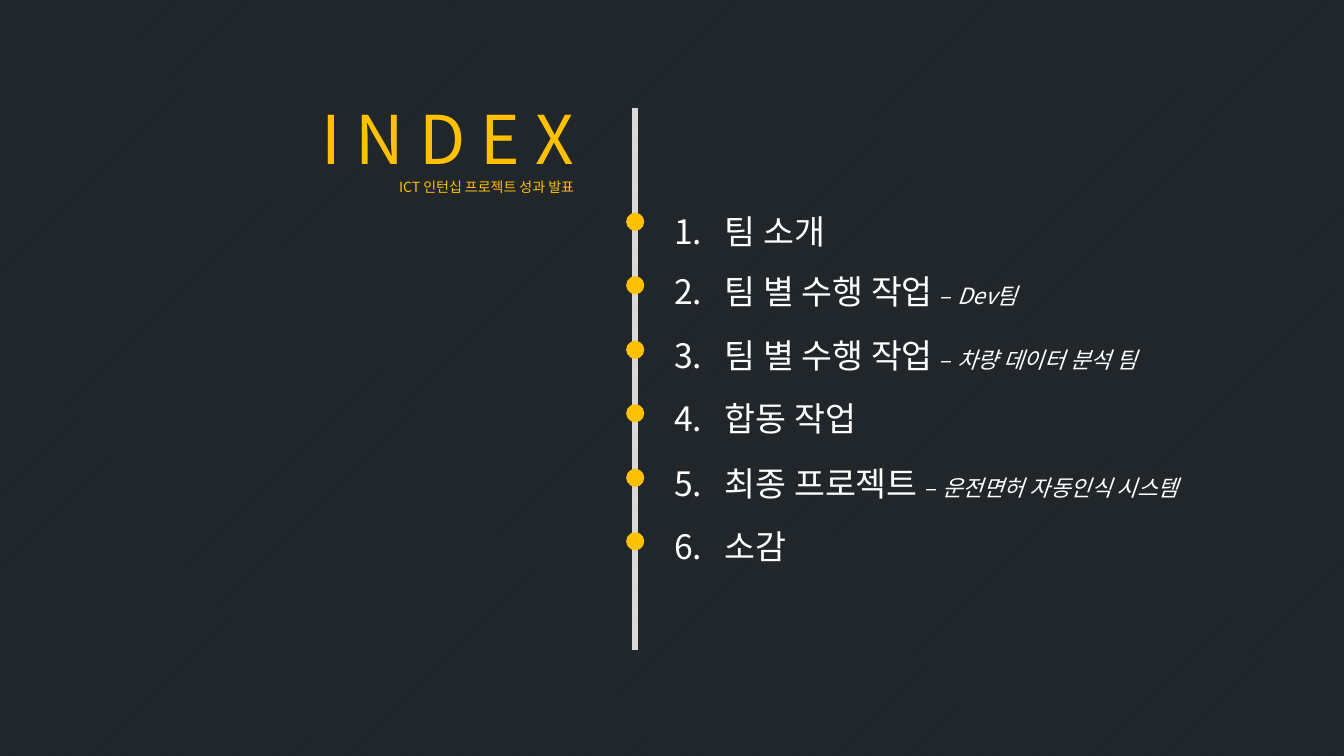
"""Build the index slide: a title, a timeline and six numbered entries."""
from dataclasses import dataclass

from lxml import etree
from pptx import Presentation
from pptx import util as u
from pptx.dml.color import RGBColor
from pptx.enum import dml, shapes, text
from pptx.oxml.ns import qn

PX = 9144


@dataclass(frozen=True)
class Theme:
    """Colours, font and type sizes."""
    back: str = "21262A"
    dots: str = "282F34"
    accent: str = "FFC000"
    rail: str = "D9D9D9"
    ink: str = "FFFFFF"
    font: str = "Noto Sans CJK KR"
    title: int = 48
    subtitle: int = 10
    entry: int = 24
    detail: int = 16


T = Theme()

ENTRIES = [
    (184, "팀 소개", ""),
    (244, "팀 별 수행 작업", "Dev팀"),
    (307, "팀 별 수행 작업", "차량 데이터 분석 팀"),
    (370, "합동 작업", ""),
    (434, "최종 프로젝트", "운전면허 자동인식 시스템"),
    (497, "소감", ""),
]


def px(n):
    """Turn px into EMU."""
    return u.Emu(n * PX)


def rgb(value):
    """Turn a hex string into a colour."""
    return RGBColor.from_string(value)


def style(r, size, color, italic=False):
    """Format one run, for Latin and Korean letters alike."""
    r.font.size = u.Pt(size)
    r.font.color.rgb = rgb(color)
    r.font.name = T.font
    if italic:
        r.font.italic = True
    ea = etree.SubElement(r.font._element, qn("a:ea"))
    ea.set("typeface", T.font)


def add_run(p, words, size, color, italic=False):
    """Append a formatted run to a paragraph."""
    r = p.add_run()
    r.text = words
    style(r, size, color, italic)


def add_box(s, x, y, w, h):
    """Add a wrapping text box and return its frame."""
    tf = s.shapes.add_textbox(px(x), px(y), px(w), px(h)).text_frame
    tf.word_wrap = True
    tf.auto_size = text.MSO_AUTO_SIZE.SHAPE_TO_FIT_TEXT
    return tf


def add_title(s):
    """Add the title with its subtitle."""
    tf = add_box(s, 235, 92, 344, 108)
    tf.text = "I N D E X\nICT 인턴십 프로젝트 성과 발표"
    for p, size in zip(tf.paragraphs, (T.title, T.subtitle)):
        p.alignment = text.PP_ALIGN.RIGHT
        style(p.runs[0], size, T.accent)


def add_entry(s, number, top, heading, detail):
    """Add a numbered entry with an optional italic detail."""
    p = add_box(s, 659, top, 610, 65).paragraphs[0]
    p.line_spacing = 1.5
    pPr = p._p.get_or_add_pPr()
    pPr.set("marL", str(px(50)))
    pPr.set("indent", str(px(-50)))
    add_run(p, f"{number}.\t{heading}", T.entry, T.ink)
    if detail:
        add_run(p, " ", T.entry, T.ink)
        add_run(p, "– ", T.detail, T.ink)
        add_run(p, detail, T.detail, T.ink, italic=True)


def add_rail(s, x, top, bottom):
    """Add the vertical line of the timeline."""
    line = s.shapes.add_connector(
        shapes.MSO_CONNECTOR.STRAIGHT, px(x), px(top), px(x), px(bottom))
    line.line.color.rgb = rgb(T.rail)
    line.line.width = u.Pt(4.5)
    etree.SubElement(line._element.spPr, qn("a:effectLst"))


def add_dot(s, x, y, size):
    """Add a round marker."""
    sp = s.shapes.add_shape(
        shapes.MSO_SHAPE.OVAL, px(x), px(y), px(size), px(size))
    sp.shadow.inherit = False
    sp.fill.solid()
    sp.fill.fore_color.rgb = rgb(T.accent)
    sp.line.fill.background()


def set_background(s):
    """Give the slide its dark dotted background."""
    fill = s.background.fill
    fill.patterned()
    fill.pattern = dml.MSO_PATTERN.PERCENT_5
    fill.fore_color.rgb = rgb(T.dots)
    fill.back_color.rgb = rgb(T.back)


def main():
    """Build and save the slide."""
    prs = Presentation()
    prs.slide_width, prs.slide_height = u.Inches(13.33), u.Inches(7.5)
    s = prs.slides.add_slide(prs.slide_layouts[6])
    set_background(s)
    add_title(s)
    add_rail(s, 630, 107, 645)
    for i, (top, heading, detail) in enumerate(ENTRIES):
        add_dot(s, 621, 211 + round(i * 63.4), 18)
        add_entry(s, i + 1, top, heading, detail)
    prs.save("out.pptx")


if __name__ == "__main__":
    main()
